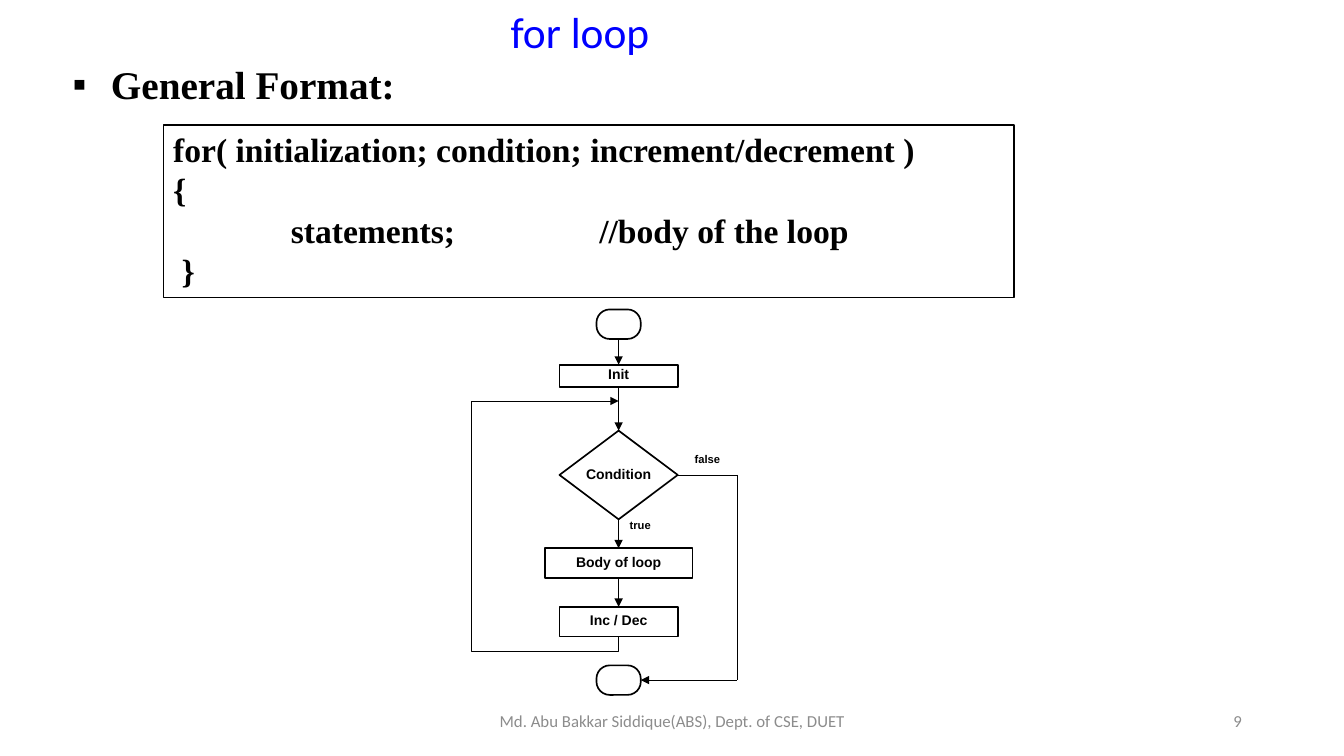
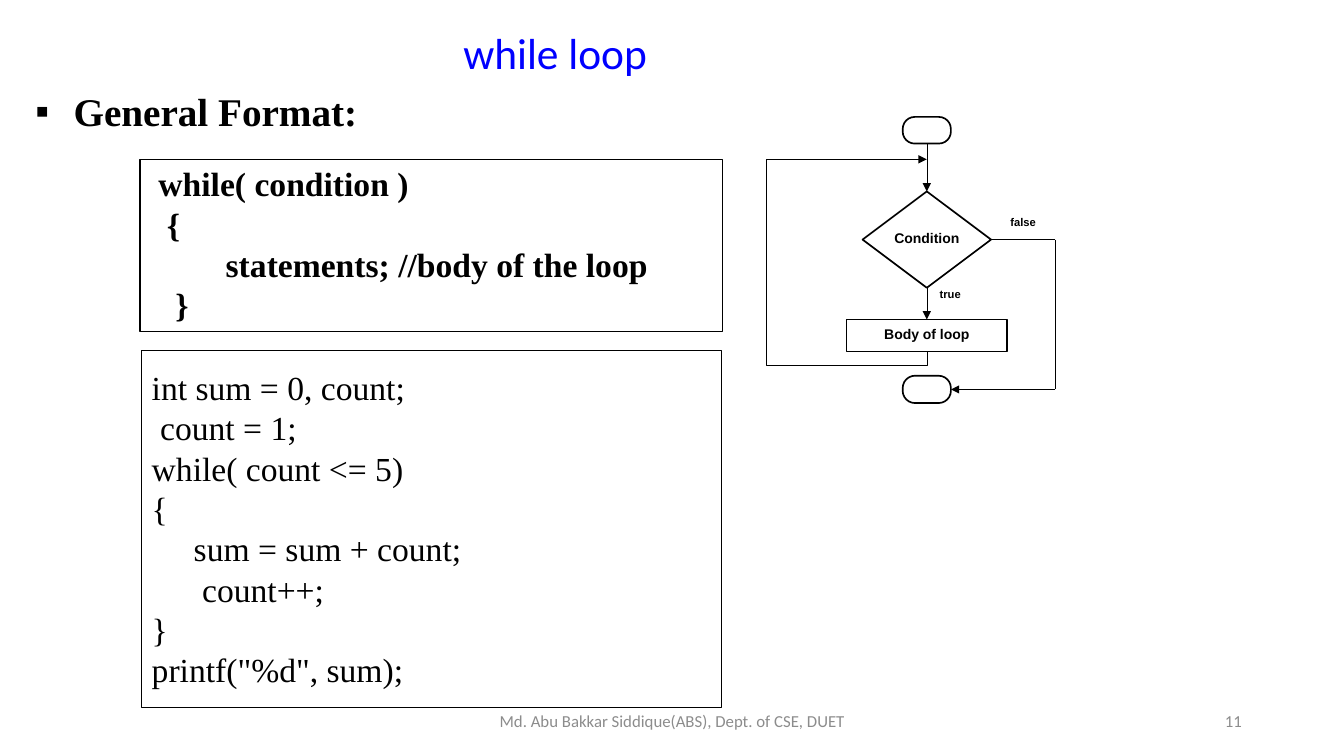
import pptx
import pptx.util
import pptx.dml.color
import pptx.enum.shapes
import pptx.enum.text
import lxml.etree
import pptx.oxml.ns

Inches, Pt = pptx.util.Inches, pptx.util.Pt
SHAPE = pptx.enum.shapes.MSO_SHAPE
ALIGN = pptx.enum.text.PP_ALIGN
ANCHOR = pptx.enum.text.MSO_ANCHOR
qn = pptx.oxml.ns.qn

W, H = Inches(13.33), Inches(7.5)
COLORS = {"title": "0000FF", "ink": "000000", "footer": "8C8C8C"}
FONTS = {"sans": "Calibri", "serif": "Times New Roman", "chart": "Arial"}
KINDS = {"end": SHAPE.ROUNDED_RECTANGLE, "step": SHAPE.RECTANGLE, "test": SHAPE.DIAMOND}
CODE_COLUMN = Pt(6)
THIN = 0.25


def rgb(name):
    return pptx.dml.color.RGBColor.from_string(COLORS[name])


def sub(parent, tag, **attrs):
    return lxml.etree.SubElement(parent, qn(tag), **attrs)


def area(x, y, w, h):
    return [int(v) for v in (W * x / 100, H * y / 100, W * w / 100, H * h / 100)]


def write(sp, lines, size=10, font="chart", color="ink", bold=False, align=ALIGN.LEFT,
          anchor=ANCHOR.TOP, left=0, top=0, bottom=0, wrap=True, pitch=None,
          bullet=None, tab=None):
    tf = sp.text_frame
    tf.word_wrap = wrap
    tf.vertical_anchor = anchor
    tf.margin_left, tf.margin_top = left, top
    tf.margin_right, tf.margin_bottom = 0, bottom
    for i, (column, text) in enumerate(lines):
        p = tf.paragraphs[0] if i == 0 else tf.add_paragraph()
        p.alignment = align
        if pitch:
            p.line_spacing = Pt(pitch)
        pPr = p._p.get_or_add_pPr()
        if column:
            pPr.set("marL", str(CODE_COLUMN * column))
        if bullet:
            pPr.set("marL", str(Inches(0.39)))
            pPr.set("indent", str(-Inches(0.38)))
            sub(pPr, "a:buFont", typeface=FONTS["chart"])
            sub(pPr, "a:buChar", char=bullet)
        if tab and "\t" in text:
            sub(sub(pPr, "a:tabLst"), "a:tab", pos=str(tab), algn="l")
        r = p.add_run()
        r.text = text
        r.font.size, r.font.bold, r.font.name = Pt(size), bold, FONTS[font]
        r.font.color.rgb = rgb(color)


def label(sl, box, text, **fmt):
    write(sl.shapes.add_textbox(*box), [(0, text)], **fmt)


def ink(sp, weight, arrow=False):
    sp.line.color.rgb = rgb("ink")
    sp.line.width = Pt(weight)
    if arrow:
        sub(sp.line._get_or_add_ln(), "a:tailEnd", type="triangle", w="med", len="med")


def hollow(sp, weight, arrow=False):
    sp.shadow.inherit = False
    sp.fill.background()
    ink(sp, weight, arrow)
    return sp


def code(sl, box, lines, bold=False, top=0.04):
    sp = hollow(sl.shapes.add_shape(SHAPE.RECTANGLE, *box), 1)
    write(sp, lines, size=24, font="serif", bold=bold, left=Inches(0.1),
          top=Inches(top), pitch=28.8, tab=Inches(3.06))


def straight(sl, a, b, arrow=True):
    cx = sl.shapes.add_connector(pptx.enum.shapes.MSO_CONNECTOR.STRAIGHT, *a, *b)
    ink(cx, THIN, arrow)
    sub(cx._element.spPr, "a:effectLst")


def bent(sl, points):
    fb = sl.shapes.build_freeform(*points[0])
    fb.add_line_segments(points[1:], close=False)
    hollow(fb.convert_to_shape(), THIN, arrow=True)


def flowchart(sl, x, y, unit, nodes, merge, turn):
    u = W * unit / 100

    def at(col, row):
        return int(W * x / 100 + col * u), int(H * y / 100 + row * u)

    def cell(col, row, w, h):
        return (*at(col - w / 2, row), int(w * u), int(h * u))

    centred = dict(bold=True, align=ALIGN.CENTER, anchor=ANCHOR.MIDDLE, wrap=False)
    for kind, text, w, row, h in nodes:
        sp = hollow(sl.shapes.add_shape(KINDS[kind], *cell(0, row, w, h)), 1.2)
        if kind == "end":
            sp.adjustments[0] = 0.45
        if text:
            write(sp, [(0, text)], bottom=Inches(0.03), **centred)

    for (*_, row, h), (*_, below, _) in zip(nodes[:-2], nodes[1:-1]):
        straight(sl, at(0, row + h), at(0, below))

    *_, row, h = nodes[-2]
    bent(sl, [at(0, row + h), at(0, turn), at(-5, turn), at(-5, merge), at(0, merge)])

    _, _, w, row, h = next(n for n in nodes if n[0] == "test")
    _, _, end_w, end_row, end_h = nodes[-1]
    middle, finish = row + h / 2, end_row + end_h / 2
    straight(sl, at(w / 2, middle), at(4, middle), arrow=False)
    straight(sl, at(4, middle), at(4, finish), arrow=False)
    straight(sl, at(4, finish), at(end_w / 2, finish))
    label(sl, cell(0.73, row + h - 0.1, 1, 0.6), "true", size=8, **centred)
    label(sl, cell(3, middle - 0.84, 1, 0.6), "false", size=8, **centred)


def base_slide(prs, title, number, centre, title_top, heading_left, heading_top):
    sl = prs.slides.add_slide(prs.slide_layouts[6])
    footer = dict(size=12, font="sans", color="footer", anchor=ANCHOR.MIDDLE)
    label(sl, area(33.15, 92.67, 33.75, 5.33), "Md. Abu Bakkar Siddique(ABS), Dept. of CSE, DUET",
          align=ALIGN.CENTER, **footer)
    label(sl, area(70.65, 92.67, 21.75, 5.33), number, align=ALIGN.RIGHT, **footer)
    label(sl, area(centre - 7.5, title_top, 15, 7.2), title, size=31, font="sans",
          color="title", align=ALIGN.CENTER, anchor=ANCHOR.BOTTOM)
    label(sl, area(heading_left, heading_top, 25, 6.53), "General Format:", size=28,
          font="serif", bold=True, top=Inches(0.01), bullet="▪")
    return sl


def for_slide(prs):
    sl = base_slide(prs, "for loop", "9", 43.15, 0.4, 5.33, 7.87)
    code(sl, area(12.15, 16.53, 63.3, 22.8), [
        (0, "for( initialization; condition; increment/decrement )"),
        (0, "{"),
        (14, "statements;\t//body of the loop"),
        (1, "}"),
    ], bold=True)
    flowchart(sl, 46.03, 40.93, 2.2, [
        ("end", "", 1.5, 0, 1),
        ("step", "Init", 4, 1.87, 0.75),
        ("test", "Condition", 4, 4.1, 3),
        ("step", "Body of loop", 5, 8.08, 1),
        ("step", "Inc / Dec", 4, 10.06, 1),
        ("end", "", 1.5, 12.04, 1),
    ], merge=3.1, turn=11.56)


def while_slide(prs):
    sl = base_slide(prs, "while loop", "11", 41.3, 3.2, 2.55, 11.47)
    code(sl, area(10.43, 21.07, 43.35, 22.8), [
        (1, "while( condition )"),
        (2, "{"),
        (9, "statements; //body of the loop"),
        (3, "}"),
    ], bold=True)
    code(sl, area(10.55, 46.4, 43.13, 47.2), [
        (0, "int sum = 0, count;"),
        (1, "count = 1;"),
        (0, "while( count <= 5)"),
        (0, "{"),
        (5, "sum = sum + count;"),
        (6, "count++;"),
        (0, "}"),
        (0, 'printf("%d", sum);'),
    ], top=0.16)
    flowchart(sl, 68.96, 15.47, 2.39, [
        ("end", "", 1.5, 0, 0.83),
        ("test", "Condition", 4, 2.32, 3),
        ("step", "Body of loop", 5, 6.31, 1),
        ("end", "", 1.5, 8.06, 0.85),
    ], merge=1.32, turn=7.72)


def main():
    prs = pptx.Presentation()
    prs.slide_width, prs.slide_height = W, H
    for_slide(prs)
    while_slide(prs)
    prs.save("out.pptx")


if __name__ == "__main__":
    main()
